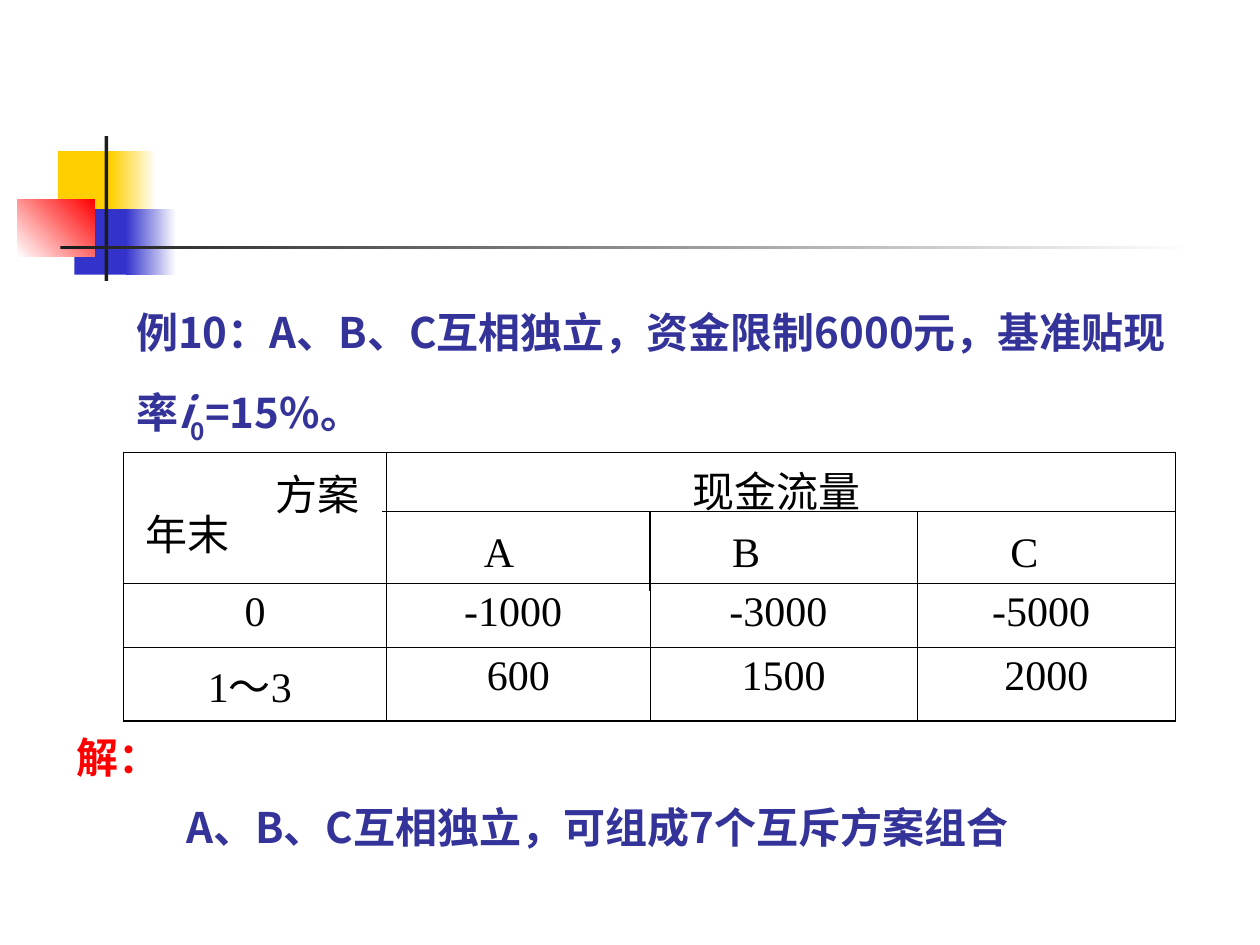
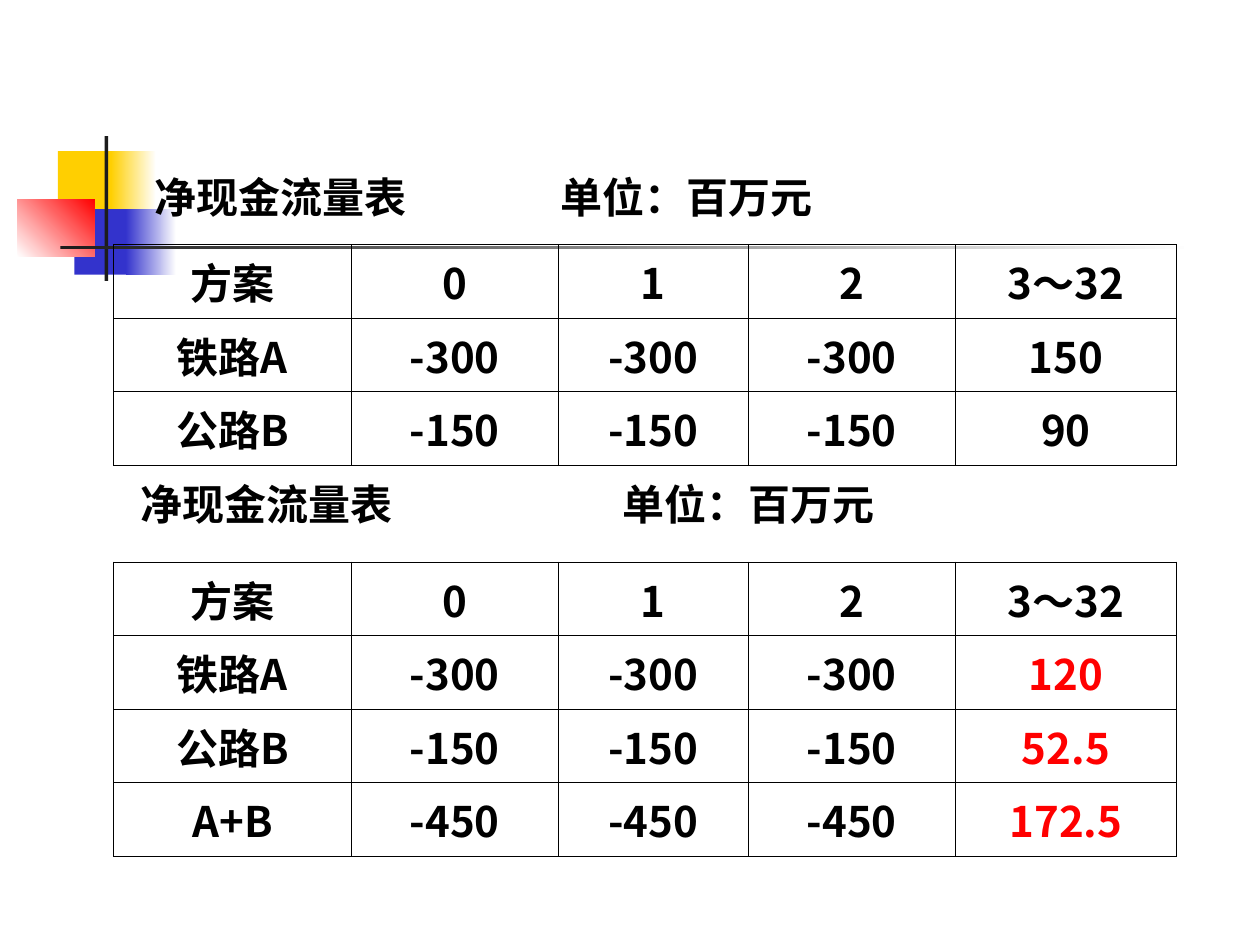
from dataclasses import dataclass

from lxml import etree
from pptx import Presentation
from pptx.dml.color import RGBColor
from pptx.enum.shapes import MSO_CONNECTOR, MSO_SHAPE
from pptx.enum.text import MSO_ANCHOR, MSO_AUTO_SIZE, PP_ALIGN
from pptx.oxml.ns import qn
from pptx.util import Inches, Pt

RECT, LINE = MSO_SHAPE.RECTANGLE, MSO_CONNECTOR.STRAIGHT
TOP, MID = MSO_ANCHOR.TOP, MSO_ANCHOR.MIDDLE
LEFT, CENTER = PP_ALIGN.LEFT, PP_ALIGN.CENTER


@dataclass(frozen=True)
class Theme:
    black: str = "000000"
    white: str = "FFFFFF"
    ink: str = "333399"
    red: str = "FF0000"
    gold: str = "FFCF01"
    blue: str = "3333CC"
    dark: str = "1C1C1C"
    sans: str = "Noto Sans CJK SC"
    serif: str = "Times New Roman"
    label: str = "Arial"
    size: int = 24
    thin: float = 0.45
    thick: float = 1.08
    rule: float = 0.75


T = Theme()

# Shared band: box, start colour, end colour, angle
BAND = [
    ((0.46, 1.2, 0.48, 0.52), T.gold, None, 0),
    ((0.88, 1.2, 0.36, 0.52), T.gold, T.white, 0),
    ((0.59, 1.66, 0.46, 0.52), T.blue, None, 0),
    ((1, 1.66, 0.4, 0.52), T.blue, T.white, 0),
    ((0.14, 1.58, 0.61, 0.46), T.white, T.red, 45),
    ((0.83, 1.08, 0.03, 1.15), T.dark, None, 0),
    ((0.48, 1.95, 9, 0.03), T.dark, T.white, 0),
]

# Slide 1: the example; runs carry text, italic, baseline
TASK = [
    ("例10：A、B、C互相独立，资金限制6000元，基准贴现率", False, 0),
    ("i", True, 0),
    ("0", False, -30000),
    ("=15%。", False, 0),
]
FLOWS = [
    ["", "现金流量 ", "", ""],
    ["0", "-1000 ", "-3000 ", "-5000 "],
    ["1～3 ", "600", "1500", "2000"],
]
PLANS, PLANTABS = "\tA\tB\tC", (0.67, 2.64, 4.85)
CORNER = [("年末", (1.06, 3.99, 0.9, 0.5)), ("方案", (2.09, 3.67, 0.9, 0.5))]
SOLVE = "解："
ANSWER = "A、B、C互相独立，可组成7个互斥方案组合"
RULES = [
    (3.03, 4.06, 9.33, 4.06),
    (5.16, 4.06, 5.16, 4.69),
    (7.28, 4.06, 7.28, 4.69),
]

# Slide 2: two net cash flow tables
CAPTION = "净现金流量表\t单位：百万元"
HEAD = ["方案", "0", "1", "2", "3～32"]
RAIL = ["铁路A"] + ["-300"] * 3
ROAD = ["公路B"] + ["-150"] * 3
BOTH = ["A+B"] + ["-450"] * 3
ALONE = [HEAD, RAIL + ["150"], ROAD + ["90"]]
JOINT = [HEAD, RAIL + ["120"], ROAD + ["52.5"], BOTH + ["172.5"]]
COLS = [1.89, 1.64, 1.51, 1.64, 1.76]


def rgb(hue):
    return RGBColor.from_string(hue)


def inch(vals):
    return [Inches(v) for v in vals]


def style(para, face, hue=T.black, bold=False, align=LEFT, space=1.0, tabs=()):
    if tabs:
        stops = etree.SubElement(para._p.get_or_add_pPr(), qn("a:tabLst"))
        for pos in tabs:
            etree.SubElement(stops, qn("a:tab"), pos=str(Inches(pos)), algn="l")
    para.alignment, para.line_spacing = align, space
    font = para.font
    font.name, font.size, font.bold = face, Pt(T.size), bold
    font.color.rgb = rgb(hue)


def settle(shape, box, anchor=TOP):
    """Place a text shape and return its first paragraph."""
    shape.left, shape.top, shape.width, shape.height = inch(box)
    frame = shape.text_frame
    frame.word_wrap, frame.auto_size = True, MSO_AUTO_SIZE.NONE
    frame.vertical_anchor = anchor
    return frame.paragraphs[0]


def write(slide, text, box, face, anchor=TOP, **look):
    para = settle(slide.shapes.add_textbox(*inch(box)), box, anchor)
    para.text = text
    style(para, face, **look)


def edge(cell, widths):
    """Draw the left, right, top and bottom borders of a cell."""
    props = cell._tc.get_or_add_tcPr()
    for spot, (side, width) in enumerate(zip("LRTB", widths)):
        line = etree.Element(qn("a:ln" + side), w=str(Pt(width)))
        fill = etree.SubElement(line, qn("a:solidFill"))
        etree.SubElement(fill, qn("a:srgbClr"), val=T.black)
        props.insert(spot, line)


def grid(slide, data, spot, cols, rows, face, rim=T.thin, anchor=TOP,
         bold=False, marks=()):
    size = (sum(cols), sum(rows))
    table = slide.shapes.add_table(
        len(rows), len(cols), *inch(spot + size)).table
    table.first_row = table.horz_banding = False
    for col, width in zip(table.columns, cols):
        col.width = Inches(width)
    for r, line in enumerate(data):
        table.rows[r].height = Inches(rows[r])
        for c, text in enumerate(line):
            cell = table.cell(r, c)
            cell.fill.background()
            cell.vertical_anchor = anchor
            para = cell.text_frame.paragraphs[0]
            para.text = text
            style(para, face, T.red if text in marks else T.black, bold, CENTER)
            outer = (c == 0, c == len(cols) - 1, r == 0, r == len(rows) - 1)
            edge(cell, [rim if out else T.thin for out in outer])
    return table


def band(slide, master):
    """Draw the corner blocks and rule, then hand them to the master."""
    for box, start, end, angle in BAND:
        block = slide.shapes.add_shape(RECT, *inch(box))
        block.shadow.inherit = False
        block.line.fill.background()
        if end:
            block.fill.gradient()
            block.fill.gradient_angle = angle
            for stop, hue in zip(block.fill.gradient_stops, (start, end)):
                stop.color.rgb = rgb(hue)
        else:
            block.fill.solid()
            block.fill.fore_color.rgb = rgb(start)
        master.shapes.element.append(block.element)


def example(slide):
    # Problem statement
    para = settle(slide.shapes.title, (0.98, 2.18, 8.54, 1.41))
    for text, slant, base in TASK:
        run = para.add_run()
        run.text = text
        if slant:
            run.font.italic = True
        if base:
            run.font._element.set("baseline", str(base))
    style(para, T.sans, T.ink, True, space=1.5)

    # Cash flow table with a two-line merged heading
    table = grid(slide, FLOWS, (0.98, 3.59), [2.09, 2.09, 2.12, 2.05],
                 [0.98, 0.51, 0.5], T.serif, T.thick)
    head = table.cell(0, 1)
    head.merge(table.cell(0, 3))
    plans = head.text_frame.add_paragraph()
    plans.text = PLANS
    plans.space_before = Pt(6)
    style(plans, T.serif, tabs=PLANTABS)
    for text, box in CORNER:
        write(slide, text, box, T.serif)

    # Solution
    write(slide, SOLVE, (0.51, 5.56, 1.18, 0.7), T.serif,
          hue=T.red, bold=True, space=1.5)
    write(slide, ANSWER, (1.38, 6.11, 6.85, 1.3), T.sans,
          hue=T.ink, bold=True, space=1.5)

    # Rules that split the heading
    for ends in RULES:
        rule = slide.shapes.add_connector(LINE, *inch(ends))
        rule.line.color.rgb, rule.line.width = rgb(T.black), Pt(T.rule)
        etree.SubElement(rule.element.spPr, qn("a:effectLst"))


def compare(slide):
    look = dict(face=T.sans, anchor=MID, bold=True)
    para = settle(slide.shapes.title, (1.13, 1.31, 5.49, 0.5), MID)
    para.text = CAPTION
    style(para, T.label, bold=True, tabs=[3.22])
    grid(slide, ALONE, (0.9, 1.94), COLS, [0.51, 0.5, 0.5], **look)

    write(slide, CAPTION, (1.02, 3.75, 6.02, 0.5), T.label, MID,
          bold=True, tabs=[3.82])
    marks = [row[-1] for row in JOINT[1:]]
    grid(slide, JOINT, (0.9, 4.46), COLS, [0.5] * 4, marks=marks, **look)


def main():
    deck = Presentation()
    deck.slide_width, deck.slide_height = Inches(10), Inches(7.5)
    layout = deck.slide_layouts.get_by_name("Title Only")
    first, second = [deck.slides.add_slide(layout) for _ in range(2)]
    band(first, deck.slide_master)
    example(first)
    compare(second)
    deck.save("out.pptx")


if __name__ == "__main__":
    main()
